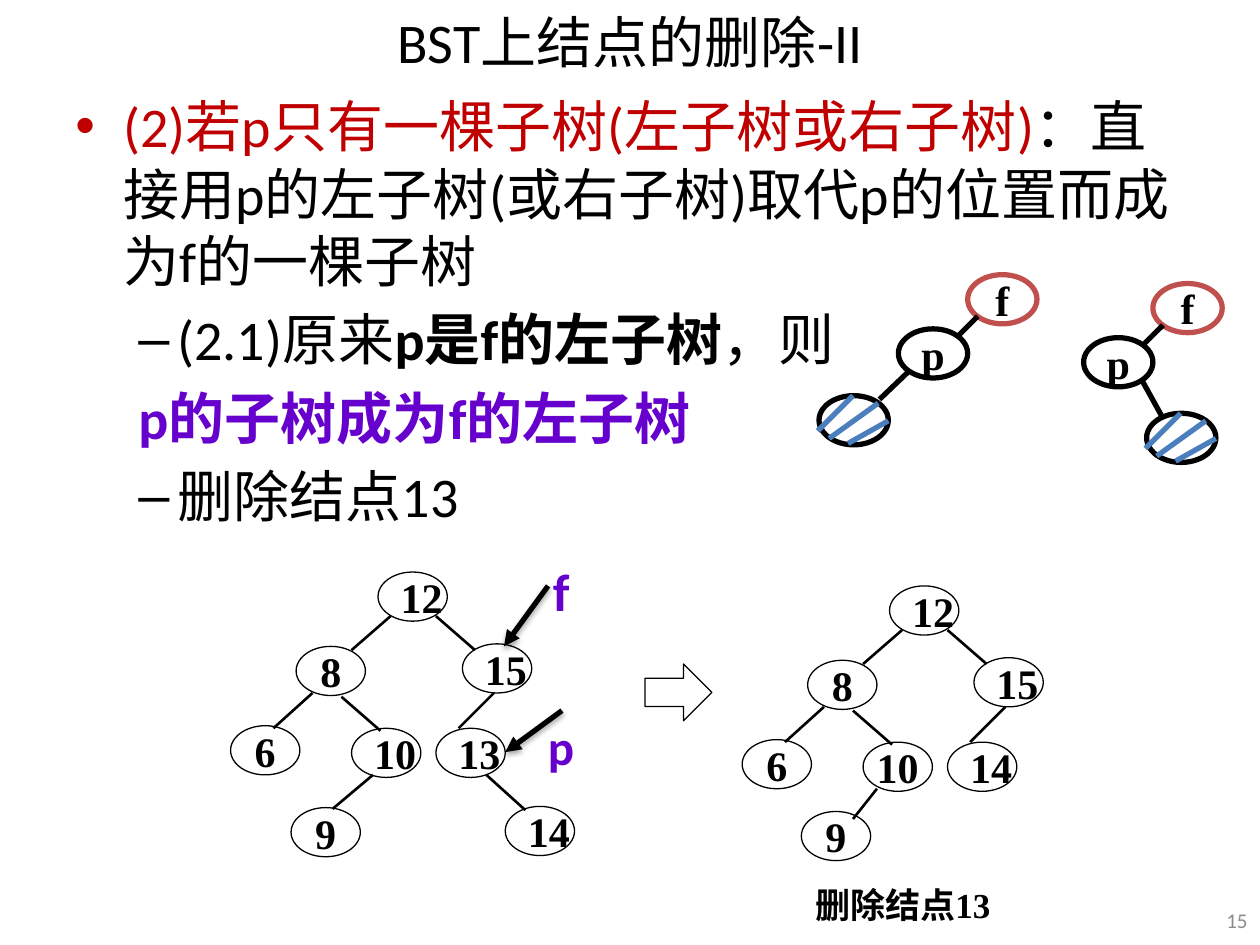
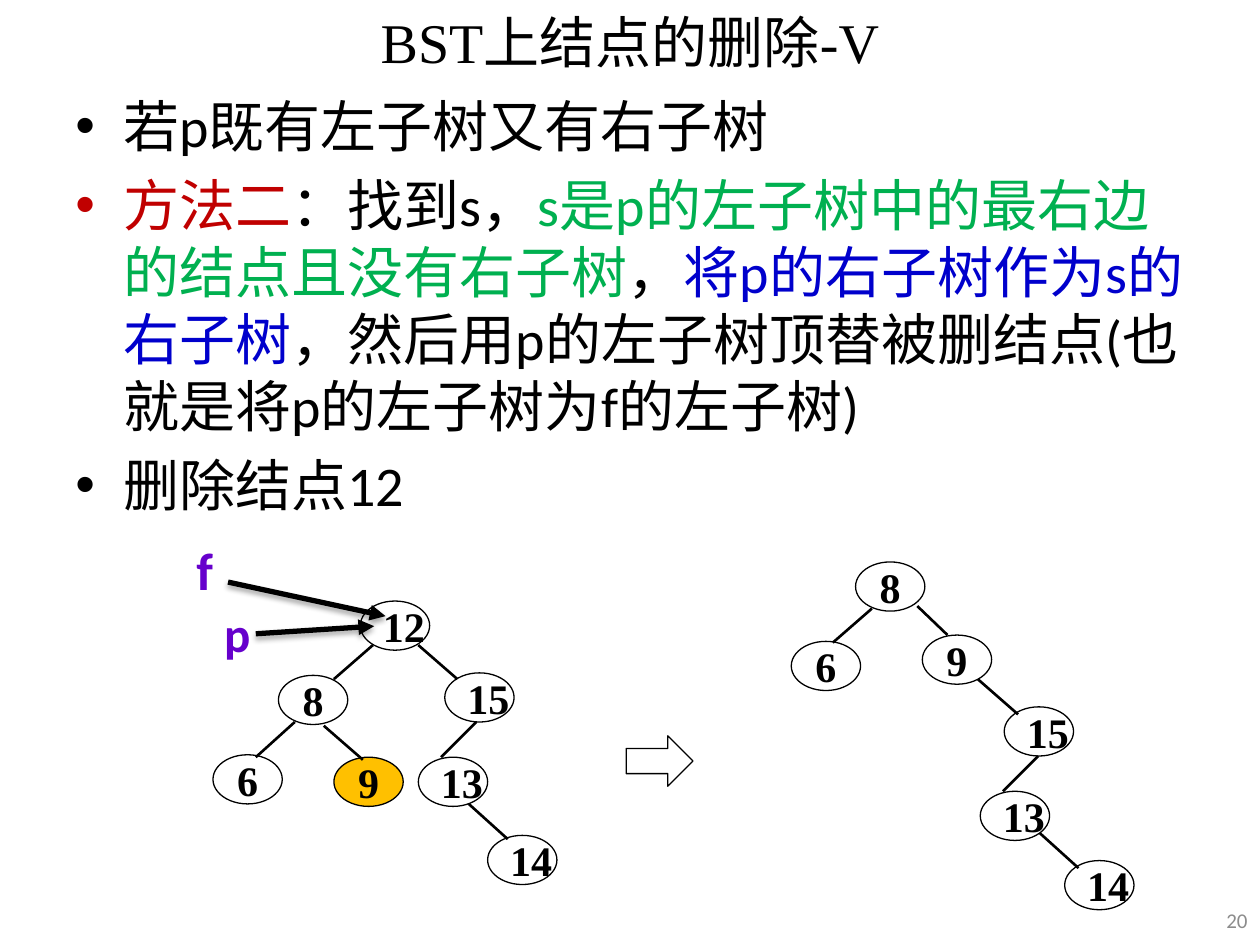
from lxml.etree import SubElement
from pptx import Presentation
from pptx.dml.color import RGBColor
from pptx.enum.shapes import MSO_CONNECTOR, MSO_SHAPE
from pptx.enum.text import MSO_ANCHOR, MSO_AUTO_SIZE, PP_ALIGN
from pptx.oxml.ns import qn
from pptx.util import Inches, Pt

BLACK = RGBColor(0x00, 0x00, 0x00)
WHITE = RGBColor(0xFF, 0xFF, 0xFF)
RED = RGBColor(0xC0, 0x00, 0x00)
ROSE = RGBColor(0xC0, 0x50, 0x4D)
PURPLE = RGBColor(0x66, 0x00, 0xCC)
GREEN = RGBColor(0x00, 0xB0, 0x50)
BLUE = RGBColor(0x00, 0x00, 0xCC)
STEEL = RGBColor(0x4B, 0x7E, 0xBC)
GOLD = RGBColor(0xFF, 0xC0, 0x00)
GRAY = RGBColor(0x8C, 0x8C, 0x8C)
SANS = "Calibri"
SERIF = "Times New Roman"
LEFT, MID, RIGHT = PP_ALIGN.LEFT, PP_ALIGN.CENTER, PP_ALIGN.RIGHT

BULLET = (0, 0.38, -0.38, "•")
DASH = (1, 0.81, -0.31, "–")
PLAIN = (1, 0.5, 0, None)

SPOTS = [(0, 0), (-0.65, 0.59), (-1.17, 1.22), (-0.21, 1.24),
         (0.67, 0.57), (0.46, 1.24)]
EDGES = [(0.1, 0.35, -0.21, 0.62), (0.46, 0.35, 0.77, 0.62),
         (-0.52, 0.96, -0.83, 1.24), (-0.29, 0.99, 0.02, 1.26),
         (0.92, 0.96, 0.64, 1.24)]
LEAF = ("14", 1.01, 1.86)
TWIG = (0.86, 1.61, 1.17, 1.89)
HATCH = [(0.47, 0.06, 0.08, 0.34), (0.55, 0.2, 0.23, 0.38),
         (0.27, 0, -0.01, 0.28)]


def write(para, runs, size, font=SANS, align=LEFT):
    para.alignment = align
    for text, color, bold in runs:
        run = para.add_run()
        run.text = text
        run.font.name = font
        run.font.size = Pt(size)
        run.font.bold = bold
        run.font.color.rgb = color


def draw(shapes, ends, width, color=BLACK, arrow=False):
    line = shapes.add_connector(MSO_CONNECTOR.STRAIGHT, *map(Inches, ends))
    line.line.color.rgb = color
    line.line.width = Pt(width)
    props = line.element.spPr
    effect = SubElement(props, qn("a:effectLst"))
    if arrow:
        SubElement(props.find(qn("a:ln")), qn("a:tailEnd"), type="triangle")
        shade = SubElement(effect, qn("a:outerShdw"), blurRad="40000",
                           dist="23000", dir="5400000", rotWithShape="0")
        tint = SubElement(shade, qn("a:srgbClr"), val=str(BLACK))
        SubElement(tint, qn("a:alpha"), val="35000")


def_full = [(t, *s) for t, s in zip(["12", "8", "6", "10", "15", "13"], SPOTS)]
after = def_full[:5] + [("14", *SPOTS[5])]
before = [("9", *SPOTS[3]) if n[0] == "10" else n for n in def_full]
chain = [("8", 0, 0), ("6", -0.51, 0.63), ("9", 0.53, 0.58),
         ("15", 1.18, 1.15), ("13", 0.99, 1.82), ("14", 1.66, 2.37)]
links = [(0.73, 0.58, 0.49, 0.35), (0.97, 0.93, 1.29, 1.21),
         (0.13, 0.37, -0.18, 0.64), (1.45, 1.54, 1.17, 1.82),
         (1.46, 2.15, 1.77, 2.43)]

pairs = []
for x, y, left, top, stem in [
        (7.68, 2.18, -1.18, 0.96, (-0.47, 0.77, -0.7, 0.99)),
        (9.15, 2.25, -0.05, 1.03, (-0.08, 0.78, 0.08, 1.07))]:
    marks = [(x + left + a, y + top + b, x + left + c, y + top + d)
             for a, b, c, d in HATCH]
    nodes = [("f", 0, 0), ("p", -0.55, 0.43), ("", left, top)]
    pairs.append((x, y, 3, nodes, [(0.08, 0.33, -0.08, 0.49), stem], marks))

pages = [
    {
        "title": "BST上结点的删除-II", "font": SANS, "page": "15",
        "body": [
            (BULLET, [("(2)若p只有一棵子树(左子树或右子树)", RED, False),
                      ("：直接用p的左子树(或右子树)取代p的位置而成为f的一棵子树",
                       BLACK, False)]),
            (DASH, [("(2.1)原来", BLACK, False),
                    ("p是f的左子树", BLACK, True),
                    ("，则", BLACK, False)]),
            (PLAIN, [("p的子树成为f的左子树", PURPLE, True)]),
            (DASH, [("删除结点13", BLACK, False)]),
        ],
        "trees": [
            (3, 4.54, 0.75, def_full + [LEAF, ("9", -0.69, 1.87)],
             EDGES + [TWIG, (-0.04, 1.61, -0.36, 1.88)], []),
            (7.06, 4.65, 0.75, after + [("9", -0.7, 1.79)],
             EDGES + [(-0.1, 1.61, -0.29, 1.85)], []),
            *pairs,
        ],
        "block": (5.12, 5.27, 0.53, 0.45),
        "labels": [("p", 28, 4.25, 5.64, 0.41, 0.57),
                   ("f", 30, 4.29, 4.39, 0.34, 0.61)],
        "arrows": [(4.46, 5.64, 4.01, 5.97), (4.35, 4.65, 4, 5.13)],
        "note": "删除结点13",
    },
    {
        "title": "BST上结点的删除-V", "font": SERIF, "page": "20",
        "body": [
            (BULLET, [("若p既有左子树又有右子树", BLACK, False)]),
            (BULLET, [("方法二", RED, False),
                      ("：找到s，", BLACK, False),
                      ("s是p的左子树中的最右边的结点且没有右子树", GREEN, False),
                      ("，", BLACK, False),
                      ("将p的右子树作为s的右子树", BLUE, False),
                      ("，然后用p的左子树顶替被删结点(也就是将p的左子树为f的左子树)",
                       BLACK, False)]),
            (BULLET, [("删除结点12", BLACK, False)]),
        ],
        "trees": [
            (2.86, 4.77, 0.75, before + [LEAF], EDGES + [TWIG], []),
            (6.79, 4.46, 0.75, chain, links, []),
        ],
        "block": (4.97, 5.84, 0.53, 0.4),
        "labels": [("p", 28, 1.68, 4.74, 0.41, 0.57),
                   ("f", 30, 1.46, 4.22, 0.34, 0.61)],
        "arrows": [(2.03, 5.03, 2.97, 4.97), (1.81, 4.62, 3.06, 4.89)],
        "note": None,
    },
]

deck = Presentation()
deck.slide_width = Inches(10)
deck.slide_height = Inches(7.5)

for index, page in enumerate(pages):
    slide = deck.slides.add_slide(deck.slide_layouts[6])
    shapes = slide.shapes

    texts = [
        (page["title"], (0.5, -0.03, 9, 0.71), 32, page["font"], MID, BLACK, False),
        (page["page"], (9.57, 7.1, 0.43, 0.4), 12, SANS, RIGHT, GRAY, False),
    ]
    if page["note"]:
        texts.append((page["note"], (6.37, 6.98, 2.08, 0.39), 20, SERIF,
                      LEFT, BLACK, True))
    for text, place, size, font, align, color, bold in texts:
        frame = shapes.add_textbox(*map(Inches, place)).text_frame
        frame.auto_size = MSO_AUTO_SIZE.NONE
        frame.word_wrap = True
        frame.vertical_anchor = MSO_ANCHOR.MIDDLE
        write(frame.paragraphs[0], [(text, color, bold)], size, font, align)

    frame = shapes.add_textbox(*map(Inches, (0.5, 0.68, 9, 6.82))).text_frame
    frame.auto_size = MSO_AUTO_SIZE.NONE
    frame.word_wrap = True
    for row, ((level, margin, indent, mark), runs) in enumerate(page["body"]):
        para = frame.add_paragraph() if row else frame.paragraphs[0]
        para.level = level
        props = para._p.get_or_add_pPr()
        props.set("marL", str(Inches(margin)))
        props.set("indent", str(Inches(indent)))
        if mark:
            SubElement(props, qn("a:buFont"), typeface="Arial")
            SubElement(props, qn("a:buChar"), char=mark)
        else:
            SubElement(props, qn("a:buNone"))
        if row:
            para.space_before = Pt(6.4)
        write(para, runs, 32)

    for x, y, width, nodes, edges, marks in page["trees"]:
        group = shapes.add_group_shape().shapes
        for text, left, top in nodes:
            oval = group.add_shape(MSO_SHAPE.OVAL, Inches(x + left),
                                   Inches(y + top), Inches(0.55), Inches(0.39))
            oval.shadow.inherit = False
            if text in ("f", "") or (index == 1 and text == "9" and nodes is before + [LEAF]):
                oval.fill.solid()
                oval.fill.fore_color.rgb = WHITE
            elif index == 1 and text == "9" and x < 5:
                oval.fill.solid()
                oval.fill.fore_color.rgb = GOLD
            else:
                oval.fill.background()
            oval.line.color.rgb = ROSE if text == "f" else BLACK
            oval.line.width = Pt(width)
            frame = oval.text_frame
            frame.word_wrap = False
            frame.vertical_anchor = MSO_ANCHOR.MIDDLE
            if text:
                wide = len(text) == 2 and not (text == "10" and x > 5)
                write(frame.paragraphs[0], [(text, BLACK, True)], 24, SERIF,
                      LEFT if wide else MID)
        for a, b, c, d in edges:
            draw(group, (x + a, y + b, x + c, y + d), max(width, 1.5))
        for ends in marks:
            draw(group, ends, 3, STEEL)

    block = shapes.add_shape(MSO_SHAPE.RIGHT_ARROW, *map(Inches, page["block"]))
    block.shadow.inherit = False
    block.fill.background()
    block.line.color.rgb = BLACK
    block.line.width = Pt(0.75)

    for ends in page["arrows"]:
        draw(shapes, ends, 3, arrow=True)
    for text, size, *place in page["labels"]:
        frame = shapes.add_textbox(*map(Inches, place)).text_frame
        frame.word_wrap = False
        frame.auto_size = MSO_AUTO_SIZE.SHAPE_TO_FIT_TEXT
        write(frame.paragraphs[0], [(text, PURPLE, True)], size)

deck.save("out.pptx")
